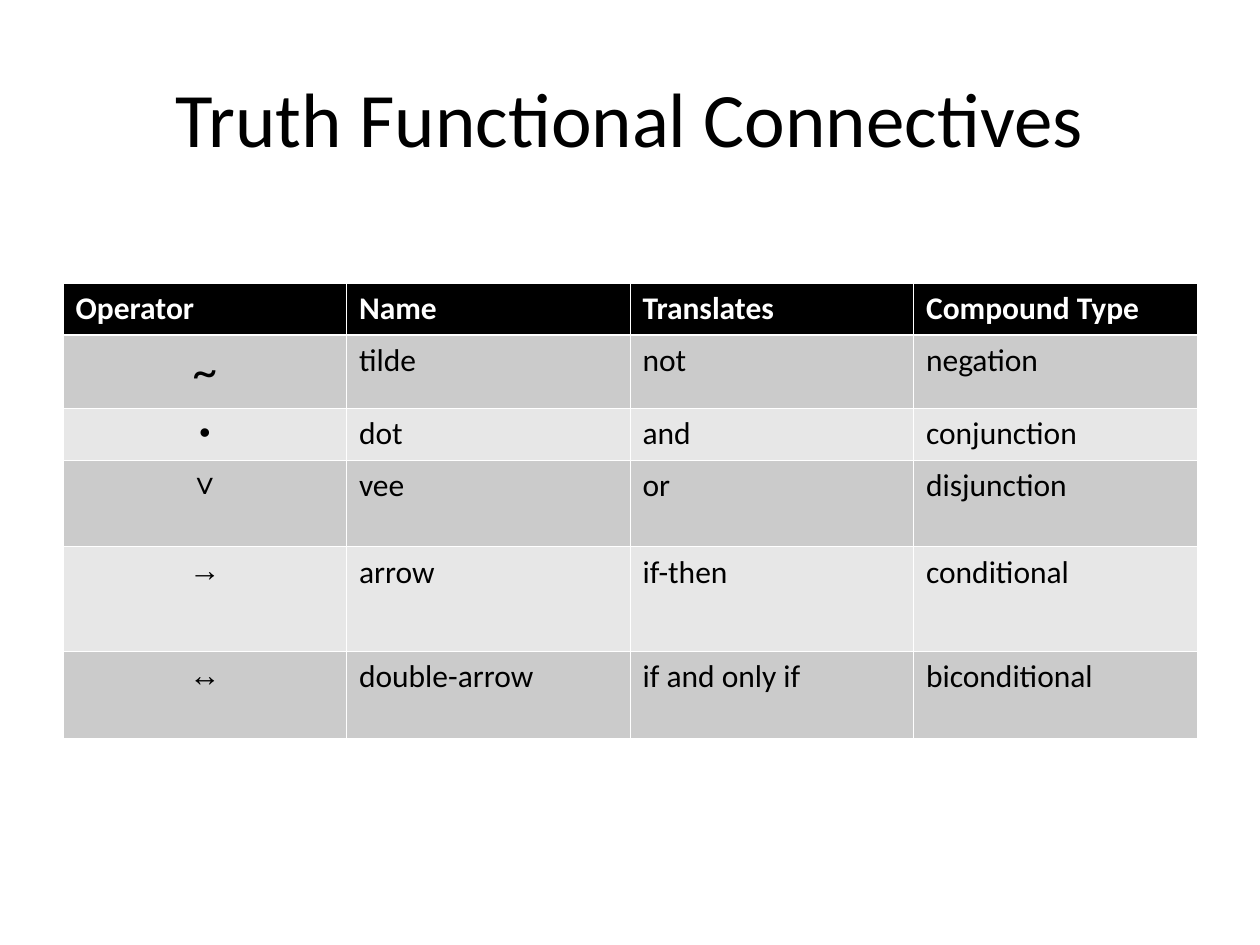
from lxml import etree
from pptx import Presentation
from pptx.dml.color import RGBColor
from pptx.enum.text import MSO_ANCHOR, PP_ALIGN
from pptx.oxml.ns import qn
from pptx.util import Inches, Pt

LEFT, CENTER = PP_ALIGN.LEFT, PP_ALIGN.CENTER
TOP, MIDDLE = MSO_ANCHOR.TOP, MSO_ANCHOR.MIDDLE

WIDTH, HEIGHT = 10, 7.5
MARGIN = WIDTH / 20
BLACK, WHITE = "000000", "FFFFFF"
BANDS = ("CBCBCB", "E7E7E7")
THIN, THICK = 0.45, 1.47

CONNECTIVES = [
    ("Operator", "Name", "Translates", "Compound Type"),
    ("~", "tilde", "not", "negation"),
    ("•", "dot", "and", "conjunction"),
    ("∨", "vee", "or", "disjunction"),
    ("→", "arrow", "if-then", "conditional"),
    ("↔", "double-arrow", "if and only if", "biconditional"),
]
ROW_HEIGHTS = (0.41, 0.58, 0.41, 0.69, 0.83, 0.69)


def rgb(color):
    return RGBColor.from_string(color)


def write(tf, text, size=18, font="Calibri", color=BLACK, bold=False, align=LEFT):
    p = tf.paragraphs[0]
    p.alignment = align
    r = p.add_run()
    r.text = text
    r.font.size = Pt(size)
    r.font.name = font
    r.font.bold = bold
    r.font.color.rgb = rgb(color)


def set_borders(cell, color, **widths):
    """Draw the cell's edges; widths in points are keyed L, R, T, B."""
    tc_pr = cell._tc.get_or_add_tcPr()
    for side, width in widths.items():
        ln = etree.SubElement(tc_pr, qn(f"a:ln{side}"), w=str(Pt(width)))
        fill = etree.SubElement(ln, qn("a:solidFill"))
        etree.SubElement(fill, qn("a:srgbClr"), val=color)


def add_title(slide, text, left, top, width, height):
    sp = slide.shapes.title
    sp.left, sp.top = Inches(left), Inches(top)
    sp.width, sp.height = Inches(width), Inches(height)
    sp.text_frame.vertical_anchor = MIDDLE
    write(sp.text_frame, text, size=44, align=CENTER)


def text_format(row, col):
    if row == 0:
        return dict(color=WHITE, bold=True)
    if col > 0:
        return {}
    if row == 1:
        return dict(size=28, align=CENTER)
    return dict(font="Arial", align=CENTER)


def add_connectives(slide, rows, heights, left, top, width):
    n_cols = len(rows[0])
    frame = slide.shapes.add_table(len(rows), n_cols, Inches(left), Inches(top),
                                   Inches(width), Inches(sum(heights)))
    table = frame.table
    for column in table.columns:
        column.width = Inches(width / n_cols)
    for i, (texts, height) in enumerate(zip(rows, heights)):
        table.rows[i].height = Inches(height)
        for j, text in enumerate(texts):
            cell = table.cell(i, j)
            cell.vertical_anchor = TOP
            # The header is set off by a thicker rule
            set_borders(cell, WHITE, L=THIN, R=THIN,
                        T=THICK if i == 1 else THIN,
                        B=THICK if i == 0 else THIN)
            cell.fill.solid()
            cell.fill.fore_color.rgb = rgb(BLACK if i == 0 else BANDS[(i - 1) % 2])
            write(cell.text_frame, text, **text_format(i, j))


def main():
    prs = Presentation()
    prs.slide_width, prs.slide_height = Inches(WIDTH), Inches(HEIGHT)
    slide = prs.slides.add_slide(prs.slide_layouts[5])
    content_width = WIDTH - 2 * MARGIN

    # Title
    add_title(slide, "Truth Functional Connectives",
              MARGIN, HEIGHT * 0.04, content_width, HEIGHT / 6)

    # Table of operators
    add_connectives(slide, CONNECTIVES, ROW_HEIGHTS,
                    MARGIN, HEIGHT * 0.3, content_width)

    prs.save("out.pptx")


if __name__ == "__main__":
    main()
